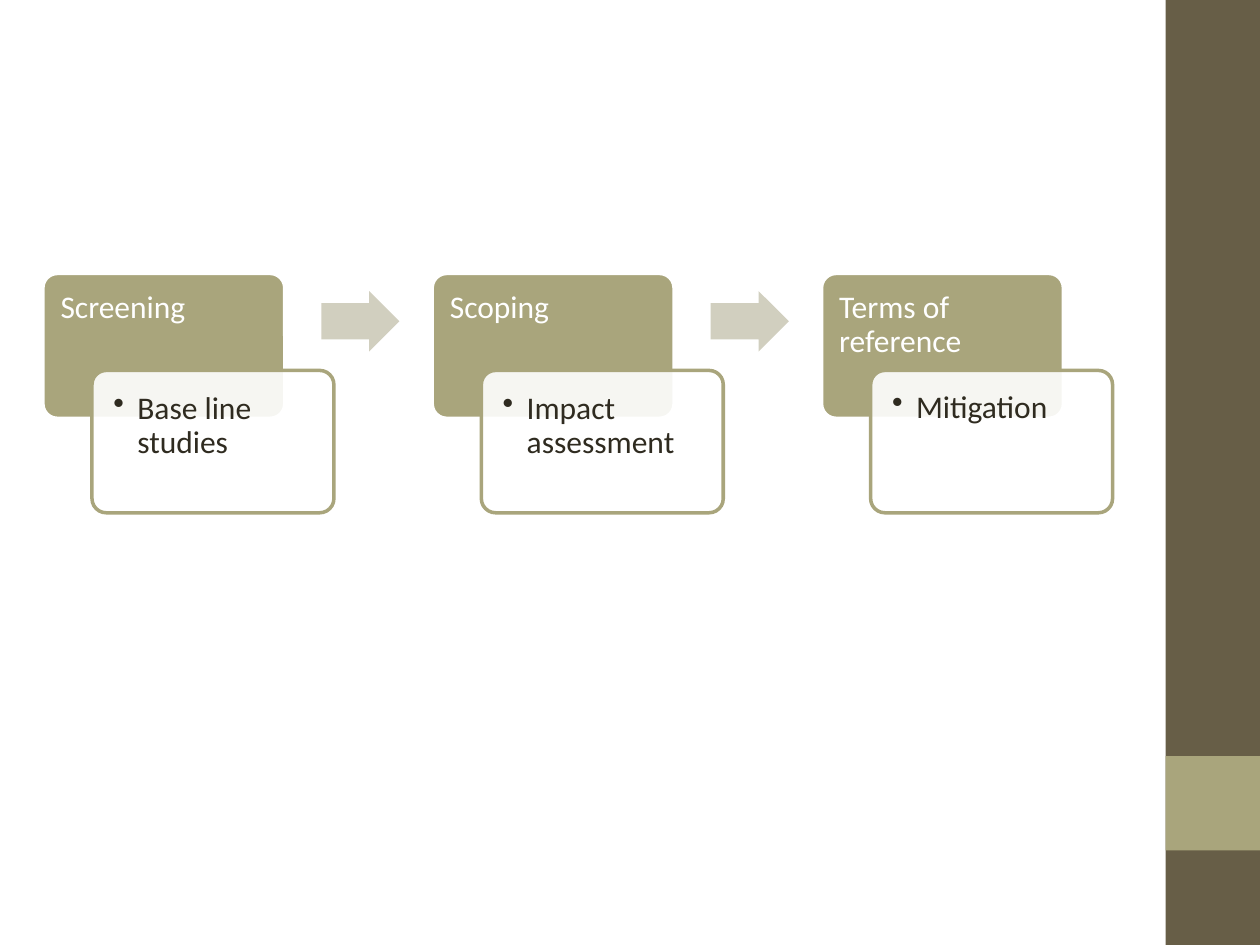
from dataclasses import dataclass

from lxml.etree import SubElement
from pptx import Presentation
from pptx.dml.color import RGBColor
from pptx.enum.shapes import MSO_SHAPE as Shape
from pptx.enum.text import MSO_ANCHOR as Anchor, PP_ALIGN as Align
from pptx.oxml.ns import qn
from pptx.util import Inches, Pt


@dataclass(frozen=True)
class Theme:
    font: str = "Calibri"
    text_size: int = 18
    outline: int = 2
    dark: str = "675E47"
    accent: str = "A9A57C"
    arrow: str = "D1CFBF"
    white: str = "FFFFFF"
    ink: str = "2F2B20"


STEPS = [
    ("Screening", "Base line studies"),
    ("Scoping", "Impact assessment"),
    ("Terms of reference", "Mitigation"),
]
LEFT, TOP, PITCH = 0.34, 2.17, 3.09
CARD_WIDTH = 1.92


def write_text(frame, text, *, color, theme, space_after, bullet=False):
    paragraph = frame.paragraphs[0]
    paragraph.alignment = Align.LEFT
    paragraph.line_spacing = 0.9
    paragraph.space_after = Pt(space_after)
    run = paragraph.add_run()
    run.text = text
    run.font.name = theme.font
    run.font.size = Pt(theme.text_size)
    run.font.color.rgb = RGBColor.from_string(color)
    if bullet:
        paragraph.level = 1
        properties = paragraph._p.get_or_add_pPr()
        properties.set("marL", str(Inches(0.19)))
        properties.set("indent", str(Inches(-0.19)))
        SubElement(properties, qn("a:buChar"), char="•")


class SlideBuilder:
    def __init__(self, slide, theme):
        self.slide = slide
        self.theme = theme

    def block(self, kind, box, fill, *, line=None, alpha=None, adjustments=()):
        """Add a filled preset shape; alpha is its opacity in percent."""
        shape = self.slide.shapes.add_shape(kind, *map(Inches, box))
        shape.shadow.inherit = False
        shape.fill.solid()
        shape.fill.fore_color.rgb = RGBColor.from_string(fill)
        if alpha is not None:
            color = shape.fill._xPr.find(qn("a:solidFill"))[0]
            SubElement(color, qn("a:alpha"), val=str(alpha * 1000))
        if line:
            shape.line.color.rgb = RGBColor.from_string(line)
            shape.line.width = Pt(self.theme.outline)
        else:
            shape.line.fill.background()
        for index, value in enumerate(adjustments):
            shape.adjustments[index] = value

    def label(self, box, text, *, bottom_inset=0.14, **style):
        frame = self.slide.shapes.add_textbox(*map(Inches, box)).text_frame
        frame.word_wrap = True
        frame.vertical_anchor = Anchor.TOP
        frame.margin_left = frame.margin_right = frame.margin_top = Inches(0.14)
        frame.margin_bottom = Inches(bottom_inset)
        write_text(frame, text, theme=self.theme, **style)

    def sidebar(self):
        self.block(Shape.RECTANGLE, (9.25, 0, 0.75, 7.5), self.theme.dark)
        self.block(Shape.RECTANGLE, (9.25, 6, 0.75, 0.75), self.theme.accent)

    def step(self, left, heading, detail):
        """Add a heading card with a detail card overlapping its lower corner."""
        theme = self.theme
        self.block(Shape.ROUNDED_RECTANGLE, (left, TOP, CARD_WIDTH, 1.15),
                   theme.accent, line=theme.white, adjustments=(0.1,))
        self.label((left, TOP, CARD_WIDTH, 0.77), heading, bottom_inset=0.07,
                   color=theme.white, space_after=6)
        self.block(Shape.ROUNDED_RECTANGLE,
                   (left + 0.39, TOP + 0.77, CARD_WIDTH, 1.13),
                   theme.white, line=theme.accent, alpha=90, adjustments=(0.1,))
        self.label((left + 0.42, TOP + 0.8, CARD_WIDTH - 0.06, 1.07), detail,
                   color=theme.ink, space_after=3, bullet=True)

    def step_arrow(self, step_left):
        self.block(Shape.RIGHT_ARROW, (step_left + 2.21, TOP + 0.14, 0.62, 0.48),
                   self.theme.arrow, adjustments=(0.6, 0.5))


def main():
    deck = Presentation()
    deck.slide_width, deck.slide_height = Inches(10), Inches(7.5)
    blank_layout = deck.slide_layouts[6]
    builder = SlideBuilder(deck.slides.add_slide(blank_layout), Theme())
    builder.sidebar()
    for index, (heading, detail) in enumerate(STEPS):
        left = LEFT + index * PITCH
        builder.step(left, heading, detail)
        if index < len(STEPS) - 1:
            builder.step_arrow(left)
    deck.save("out.pptx")


if __name__ == "__main__":
    main()
